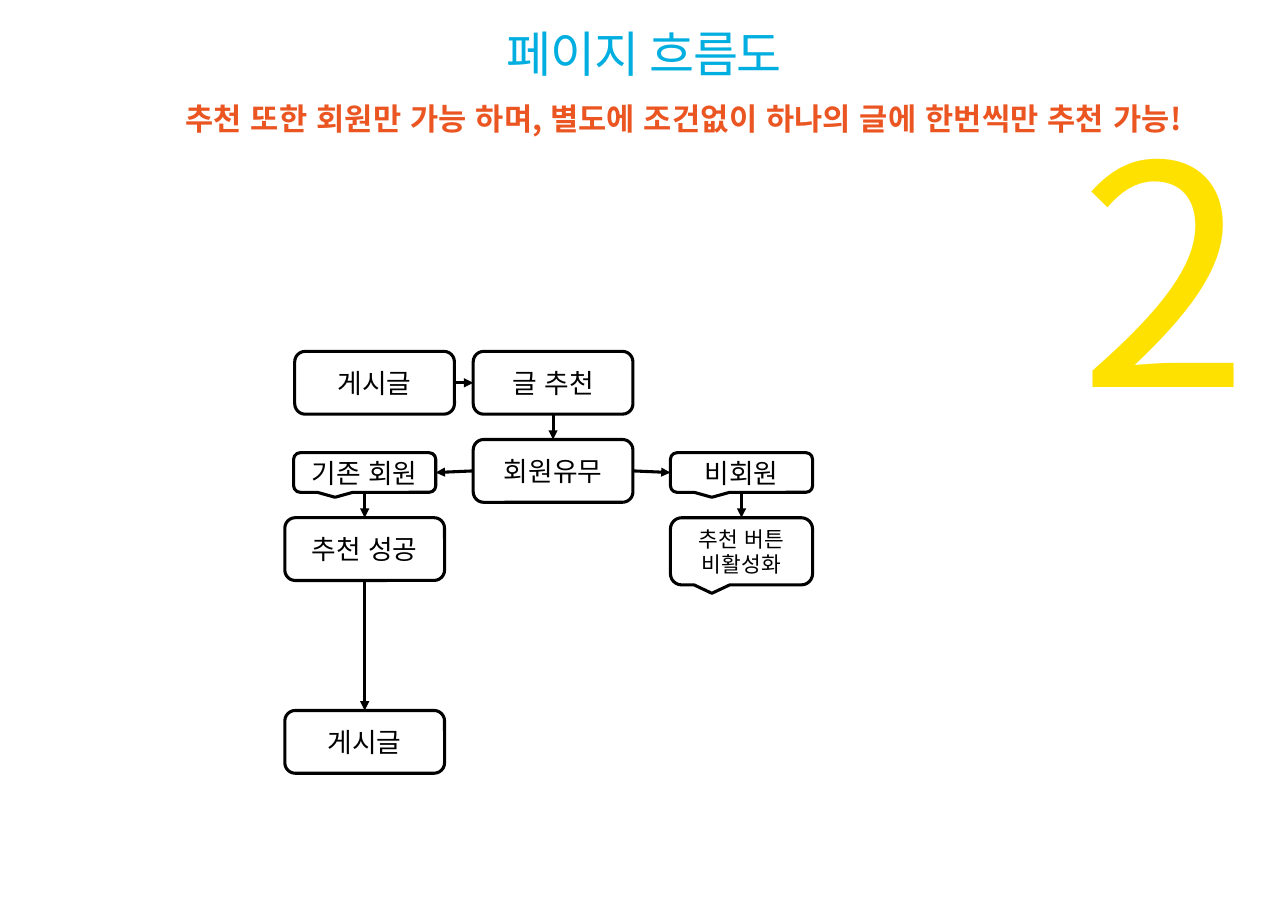
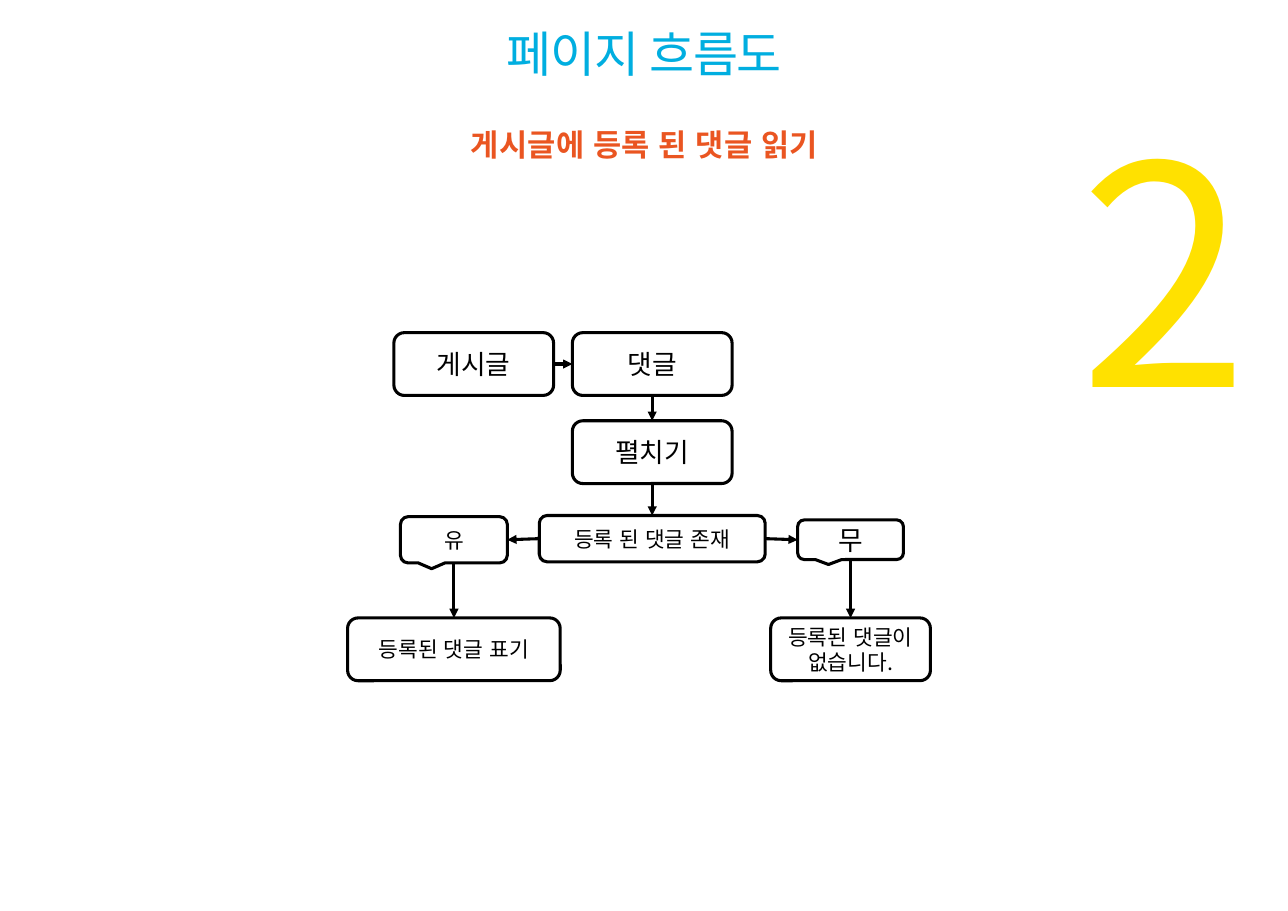
from pptx import Presentation
from pptx.dml.color import RGBColor
from pptx.enum.lang import MSO_LANGUAGE_ID
from pptx.enum.shapes import MSO_CONNECTOR, MSO_SHAPE
from pptx.enum.text import MSO_ANCHOR, PP_ALIGN
from pptx.oxml.ns import qn
from pptx.util import Inches, Pt
from lxml import etree

BOX = MSO_SHAPE.ROUNDED_RECTANGLE
CALLOUT = MSO_SHAPE.ROUNDED_RECTANGULAR_CALLOUT
STRAIGHT = MSO_CONNECTOR.STRAIGHT
LEFT, CENTER = PP_ALIGN.LEFT, PP_ALIGN.CENTER
TOP, MIDDLE = MSO_ANCHOR.TOP, MSO_ANCHOR.MIDDLE
KOREAN = MSO_LANGUAGE_ID.KOREAN

FONT = "Noto Sans CJK KR"
BLACK, WHITE = "000000", "FFFFFF"
BLUE, ORANGE, YELLOW = "00AEE0", "EA5521", "FFE100"
LINE_WIDTH = Pt(2)

STEP = (1.45, 0.57)
ANSWER = (1.29, 0.36)
START_OFFSET = -1.62   # first step, left of the middle column
ROW = 0.8              # from the first row to the second

# Each link names two nodes and the sides it joins
DOWN, TO_LEFT, TO_RIGHT = (2, 0), (1, 3), (3, 1)


def color(value):
    return RGBColor.from_string(value)


def write(frame, text, size=17.5, ink=BLACK, bold=False, align=CENTER,
          anchor=MIDDLE, inset=None, leading=None, tracking=None):
    frame.word_wrap = True
    frame.vertical_anchor = anchor
    if inset is not None:
        frame.margin_left = frame.margin_right = Inches(inset)
        frame.margin_top = frame.margin_bottom = Inches(inset)
    para = frame.paragraphs[0]
    para.alignment = align
    if leading:
        para.line_spacing = Pt(leading)
    span = para.add_run()
    span.text = text
    font = span.font
    font.name, font.size, font.bold = FONT, Pt(size), bold
    font.color.rgb = color(ink)
    font.language_id = KOREAN
    properties = span._r.get_or_add_rPr()
    etree.SubElement(properties, qn("a:ea"), typeface=FONT)
    if tracking:
        properties.set("spc", str(round(tracking * 100)))


def add_label(page, area, text, **style):
    box = page.shapes.add_textbox(*map(Inches, area))
    write(box.text_frame, text, anchor=TOP, inset=0, **style)


def add_header(page, subtitle, subtitle_area):
    add_label(page, subtitle_area, subtitle, size=20, ink=ORANGE, bold=True,
              leading=14, tracking=0.1)
    add_label(page, (2.21, 0.33, 7.28, 0.82), "페이지 흐름도", size=32,
              ink=BLUE, leading=30, tracking=-1)
    add_label(page, (9.8, 1.3, 1.46, 2.76), "2", size=200, ink=YELLOW,
              align=LEFT, leading=200, tracking=-1)


def add_node(page, kind, middle, top, size, text, text_size=17.5):
    width, height = size
    node = page.shapes.add_shape(kind, Inches(middle - width / 2), Inches(top),
                                 Inches(width), Inches(height))
    node.shadow.inherit = False
    node.fill.solid()
    node.fill.fore_color.rgb = color(WHITE)
    node.line.color.rgb = color(BLACK)
    node.line.width = LINE_WIDTH
    write(node.text_frame, text, size=text_size)
    return node


def add_arrow(page, start, end, sides):
    arrow = page.shapes.add_connector(STRAIGHT, 0, 0, 0, 0)
    arrow.begin_connect(start, sides[0])
    arrow.end_connect(end, sides[1])
    arrow.line.color.rgb = color(BLACK)
    arrow.line.width = LINE_WIDTH
    etree.SubElement(arrow.line._get_or_add_ln(), qn("a:tailEnd"), type="triangle")
    etree.SubElement(arrow._element.spPr, qn("a:effectLst"))


def add_flow(page, middle, top, nodes, links):
    """Node offsets count from the middle column and the top of the chart."""
    placed = {
        name: add_node(page, kind, middle + across, top + down, *rest)
        for name, (kind, across, down, *rest) in nodes.items()
    }
    for start, end, sides in links:
        add_arrow(page, placed[start], placed[end], sides)


def build_recommend_page(page):
    add_header(page, "추천 또한 회원만 가능 하며, 별도에 조건없이 하나의 글에 한번씩만 추천 가능!",
               (1.59, 1.05, 9.23, 0.79))
    branch = 1.71
    nodes = {
        "post": (BOX, START_OFFSET, 0, STEP, "게시글"),
        "recommend": (BOX, 0, 0, STEP, "글 추천"),
        "check": (BOX, 0, ROW, STEP, "회원유무"),
        "member": (CALLOUT, -branch, 0.92, ANSWER, "기존 회원"),
        "guest": (CALLOUT, branch, 0.92, ANSWER, "비회원"),
        "success": (BOX, -branch, 1.51, STEP, "추천 성공"),
        "disabled": (CALLOUT, branch, 1.51, (1.29, 0.61), "추천 버튼 비활성화", 14),
        "back": (BOX, -branch, 3.26, STEP, "게시글"),
    }
    links = [
        ("post", "recommend", TO_RIGHT),
        ("recommend", "check", DOWN),
        ("check", "member", TO_LEFT),
        ("check", "guest", TO_RIGHT),
        ("member", "success", DOWN),
        ("guest", "disabled", DOWN),
        ("success", "back", DOWN),
    ]
    add_flow(page, 5.02, 3.19, nodes, links)


def build_comment_page(page):
    add_header(page, "게시글에 등록 된 댓글 읽기", (2.21, 1.28, 7.28, 0.79))
    branch = 1.8
    nodes = {
        "post": (BOX, START_OFFSET, 0, STEP, "게시글"),
        "comment": (BOX, 0, 0, STEP, "댓글"),
        "expand": (BOX, 0, ROW, STEP, "펼치기"),
        "check": (BOX, 0, 1.66, (2.05, 0.42), "등록 된 댓글 존재", 14),
        "yes": (CALLOUT, -branch, 1.67, (0.97, 0.42), "유", 14),
        "no": (CALLOUT, branch, 1.7, (0.96, 0.36), "무"),
        "listed": (BOX, -branch, 2.59, (1.93, 0.57), "등록된 댓글 표기", 14),
        "empty": (BOX, branch, 2.59, STEP, "등록된 댓글이 없습니다.", 14),
    }
    links = [
        ("post", "comment", TO_RIGHT),
        ("comment", "expand", DOWN),
        ("expand", "check", DOWN),
        ("check", "yes", TO_LEFT),
        ("check", "no", TO_RIGHT),
        ("yes", "listed", DOWN),
        ("no", "empty", DOWN),
    ]
    add_flow(page, 5.92, 3.02, nodes, links)


def main():
    deck = Presentation()
    deck.slide_width, deck.slide_height = Inches(11.69), Inches(8.27)
    blank = deck.slide_layouts[6]
    for build in (build_recommend_page, build_comment_page):
        build(deck.slides.add_slide(blank))
    deck.save("out.pptx")


if __name__ == "__main__":
    main()
